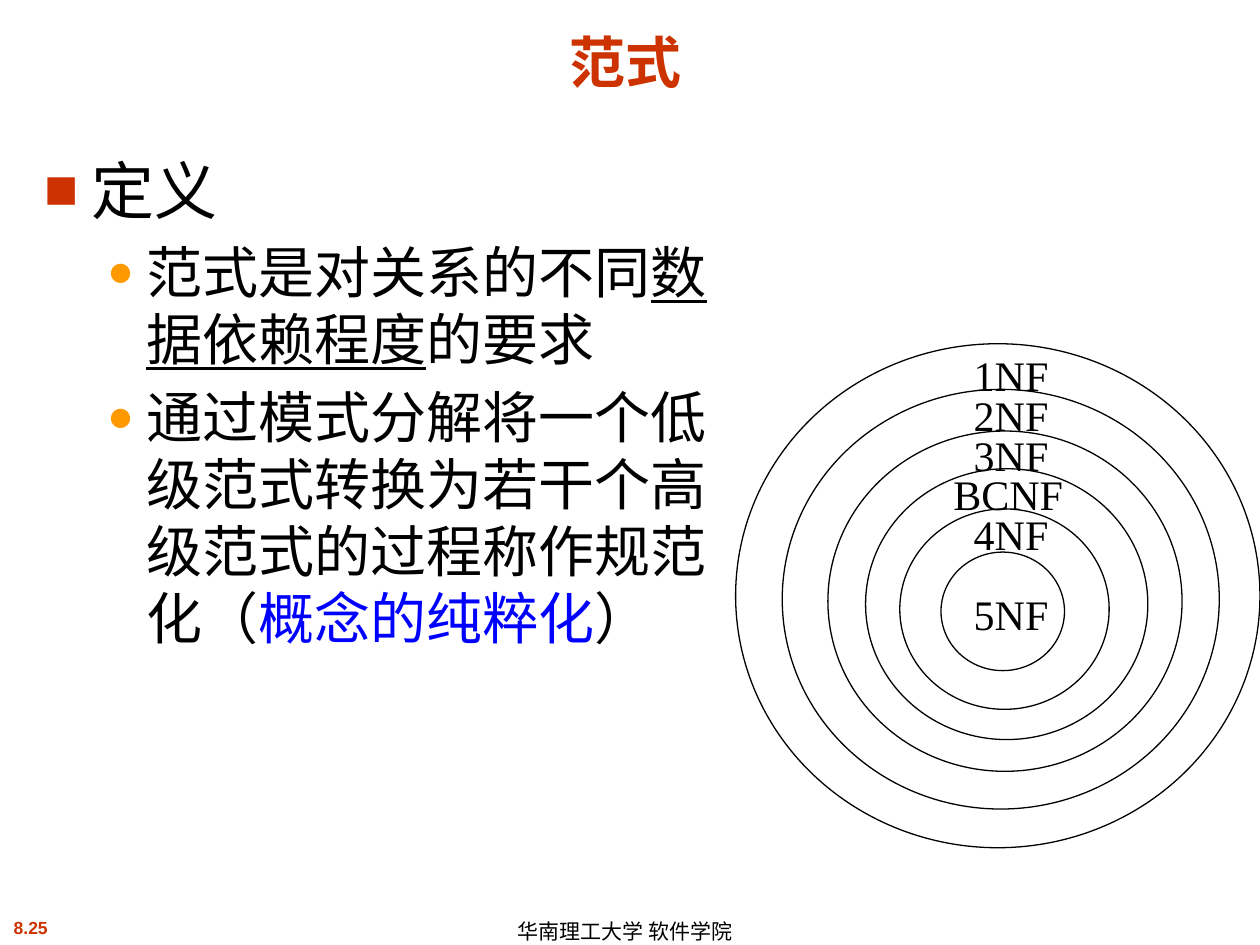
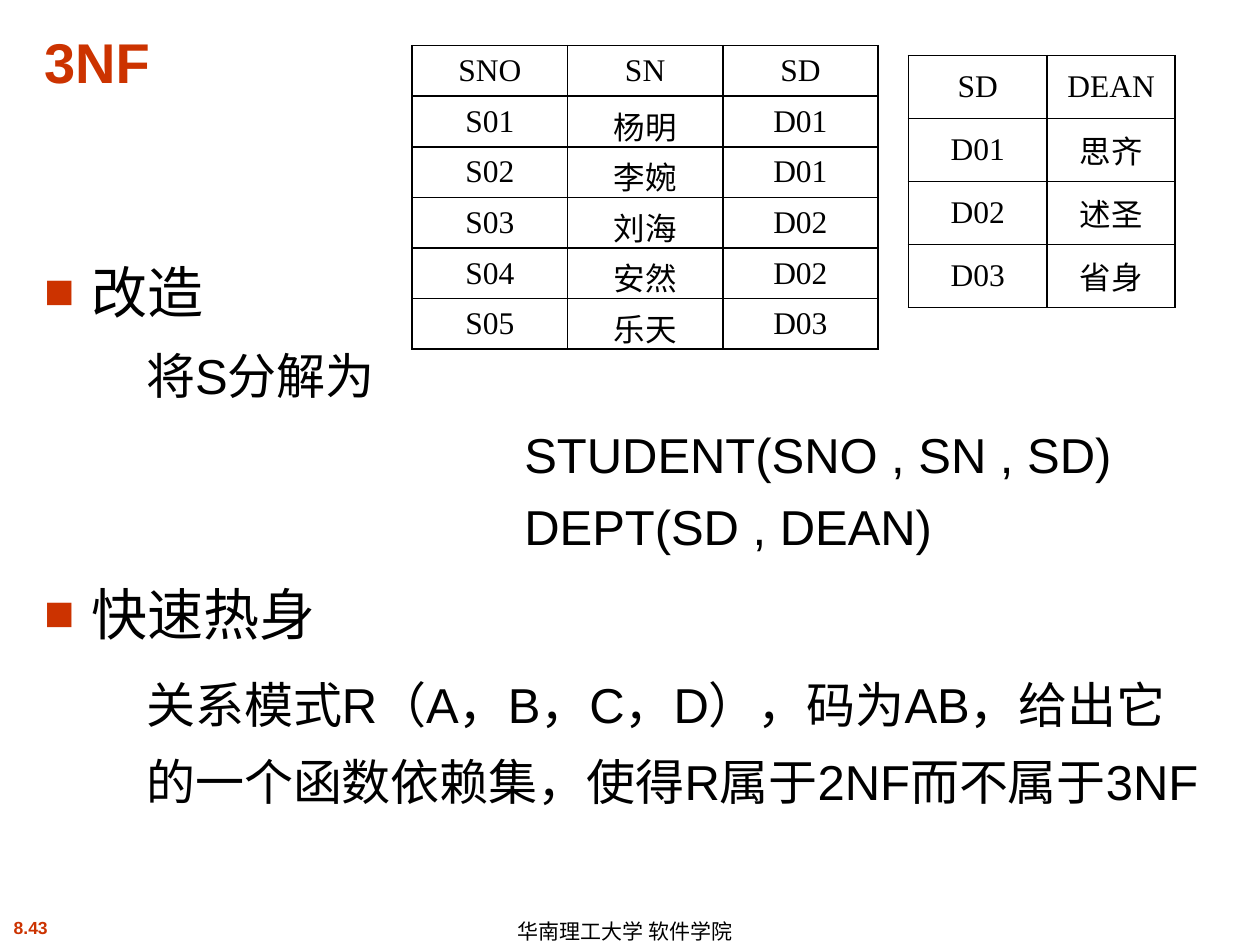
import pptx
import pptx.dml.color
import pptx.enum.shapes
import pptx.enum.text
import pptx.oxml
import pptx.oxml.ns
import pptx.util
from pptx.util import Cm

RED, ORANGE, BLUE, BLACK = "CC3300", "FF9900", "0000FF", "000000"
SANS, SERIF = "Arial", "Times New Roman"
ALIGN = pptx.enum.text.PP_ALIGN
ANCHOR = pptx.enum.text.MSO_ANCHOR
# Bullet character, colour and size in percent for each level
SQUARE = ("■", RED, 90)
DOT = ("●", ORANGE, 80)


def color(value):
    return pptx.dml.color.RGBColor.from_string(value)


def add_xml(parent, xml):
    namespace = pptx.oxml.ns.nsdecls("a")
    parent.append(pptx.oxml.parse_xml(xml.replace("NS", namespace, 1)))


class Lecture:
    """Holds the deck, its style and the current page."""

    def __init__(self):
        self.deck = pptx.Presentation()
        self.deck.slide_width = Cm(25.4)
        self.deck.slide_height = Cm(19.05)
        self.page = None

    def new_page(self, number, title, align):
        self.page = self.deck.slides.add_slide(self.deck.slide_layouts[6])
        # Footer
        box = self.box(0, 18.36, 1.24, 0.69, wrap=False)
        self.para(box, [(number, {"bold": True, "ink": RED})], 10, align=ALIGN.CENTER)
        box = self.box(10.19, 18.42, 5.69, 0.64, ANCHOR.MIDDLE, wrap=False)
        self.para(box, [("华南理工大学 软件学院", {})], 12, line=1.1)
        # Title
        box = self.box(0.64, 0.33, 23.93, 1.7, ANCHOR.BOTTOM)
        self.para(box, [(title, {"bold": True, "ink": RED})], 32, align=align)

    def box(self, left, top, width, height, anchor=ANCHOR.TOP, wrap=True):
        shape = self.page.shapes.add_textbox(Cm(left), Cm(top), Cm(width), Cm(height))
        shape.text_frame.word_wrap = wrap
        shape.text_frame.vertical_anchor = anchor
        return shape.text_frame

    def para(self, frame, spans, size, font=SANS, align=ALIGN.LEFT, margin=0,
             hang=0, bullet=None, before=0, line=None):
        """Fill the empty first paragraph of a frame, or add another one."""
        para = frame.paragraphs[0]
        if para.runs:
            para = frame.add_paragraph()
        properties = para._p.get_or_add_pPr()
        properties.set("marL", str(Cm(margin)))
        properties.set("indent", str(-Cm(hang)))
        if bullet:
            mark, ink, percent = bullet
            add_xml(properties, f'<a:buClr NS><a:srgbClr val="{ink}"/></a:buClr>')
            add_xml(properties, f'<a:buSzPct NS val="{percent * 1000}"/>')
            add_xml(properties, f'<a:buFont NS typeface="{SANS}"/>')
            add_xml(properties, f'<a:buChar NS char="{mark}"/>')
        para.alignment = align
        para.space_before = pptx.util.Pt(before)
        if line:
            para.line_spacing = line
        for text, look in spans:
            span = para.add_run()
            span.text = text
            span.font.name = font
            span.font.size = pptx.util.Pt(size)
            span.font.bold = look.get("bold", False)
            span.font.underline = look.get("underline", False)
            span.font.color.rgb = color(look.get("ink", BLACK))

    def heading(self, frame, text, size, **spacing):
        self.para(frame, [(text, {})], size, margin=0.95, hang=0.95,
                  bullet=SQUARE, **spacing)

    def ring(self, left, top, width, height):
        oval = pptx.enum.shapes.MSO_SHAPE.OVAL
        shape = self.page.shapes.add_shape(oval, Cm(left), Cm(top), Cm(width), Cm(height))
        shape.shadow.inherit = False
        shape.fill.background()
        shape.line.color.rgb = color(BLACK)
        shape.line.width = pptx.util.Pt(0.75)

    def table(self, left, top, widths, row_height, rows):
        frame = self.page.shapes.add_table(
            len(rows), len(widths), Cm(left), Cm(top),
            Cm(sum(widths)), Cm(row_height * len(rows)))
        table = frame.table
        table.first_row = table.horz_banding = False
        for column, width in zip(table.columns, widths):
            column.width = Cm(width)
        for r, values in enumerate(rows):
            table.rows[r].height = Cm(row_height)
            for c, value in enumerate(values):
                self.cell(table.cell(r, c), value)

    def cell(self, cell, value):
        cell.vertical_anchor = ANCHOR.MIDDLE
        self.para(cell.text_frame, [(value, {})], 18, SERIF, ALIGN.CENTER)
        properties = cell._tc.get_or_add_tcPr()
        for side in ("lnL", "lnR", "lnT", "lnB"):
            add_xml(properties, f'<a:{side} NS w="12700"><a:solidFill>'
                    f'<a:srgbClr val="{BLACK}"/></a:solidFill></a:{side}>')
        cell.fill.background()


def normal_forms(lecture):
    lecture.new_page("8.25", "范式", ALIGN.CENTER)
    # Definition
    body = lecture.box(0.64, 2.92, 14.76, 13.08)
    lecture.heading(body, "定义", 36)
    points = [
        [("范式是对关系的不同", {}), ("数据依赖程度", {"underline": True}),
         ("的要求", {})],
        [("通过模式分解将一个低级范式转换为若干个高级范式的过程称作规范化（", {}),
         ("概念的纯粹化", {"ink": BLUE}), ("）", {})],
    ]
    for spans in points:
        lecture.para(body, spans, 32, margin=2.06, hang=0.79, bullet=DOT, before=6)
    # Nested rings, from the innermost outwards
    rings = [
        (18.97, 11.13, 2.49, 2.39), (18.14, 10.26, 4.22, 4.04),
        (17.45, 9.45, 5.69, 5.46), (16.69, 8.69, 7.14, 6.86),
        (15.77, 7.85, 8.81, 8.46), (14.83, 6.93, 10.57, 10.16),
    ]
    for ring in rings:
        lecture.ring(*ring)
    # Ring labels: one step apart, the centre one two steps down
    labels = {"1NF": 0, "2NF": 1, "3NF": 2, "BCNF": 3, "4NF": 4, "5NF": 6}
    for name, step in labels.items():
        left, width = (18.97, 3.12) if name == "BCNF" else (19.38, 2.29)
        box = lecture.box(left, 6.93 + 0.8 * step, width, 1.27)
        lecture.para(box, [(name, {})], 24, SERIF)


def third_normal_form(lecture):
    lecture.new_page("8.43", "3NF", ALIGN.LEFT)
    # Decomposition and exercise
    body = lecture.box(0.64, 5, 23.93, 12.55)
    lecture.heading(body, "改造", 32, line=1.05)
    steps = [("将S分解为", 2.06, 10), ("STUDENT(SNO , SN , SD)", 9.68, 10),
             ("DEPT(SD , DEAN)", 9.68, 6)]
    for text, margin, before in steps:
        lecture.para(body, [(text, {})], 28, margin=margin, before=before, line=1.05)
    lecture.heading(body, "快速热身", 32, before=6, line=1.2)
    exercise = ("关系模式R（A，B，C，D），码为AB，给出它的一个函数依赖集，"
                "使得R属于2NF而不属于3NF")
    lecture.para(body, [(exercise, {})], 28, margin=2.06, before=6, line=1.3)
    # Student and department tables
    students = [
        ("SNO", "SN", "SD"), ("S01", "杨明", "D01"), ("S02", "李婉", "D01"),
        ("S03", "刘海", "D02"), ("S04", "安然", "D02"), ("S05", "乐天", "D03"),
    ]
    lecture.table(8.31, 0.92, [3.13] * 3, 1.02, students)
    departments = [("SD", "DEAN"), ("D01", "思齐"), ("D02", "述圣"), ("D03", "省身")]
    lecture.table(18.31, 1.12, [2.8, 2.58], 1.27, departments)


def main():
    lecture = Lecture()
    normal_forms(lecture)
    third_normal_form(lecture)
    lecture.deck.save("out.pptx")


if __name__ == "__main__":
    main()
